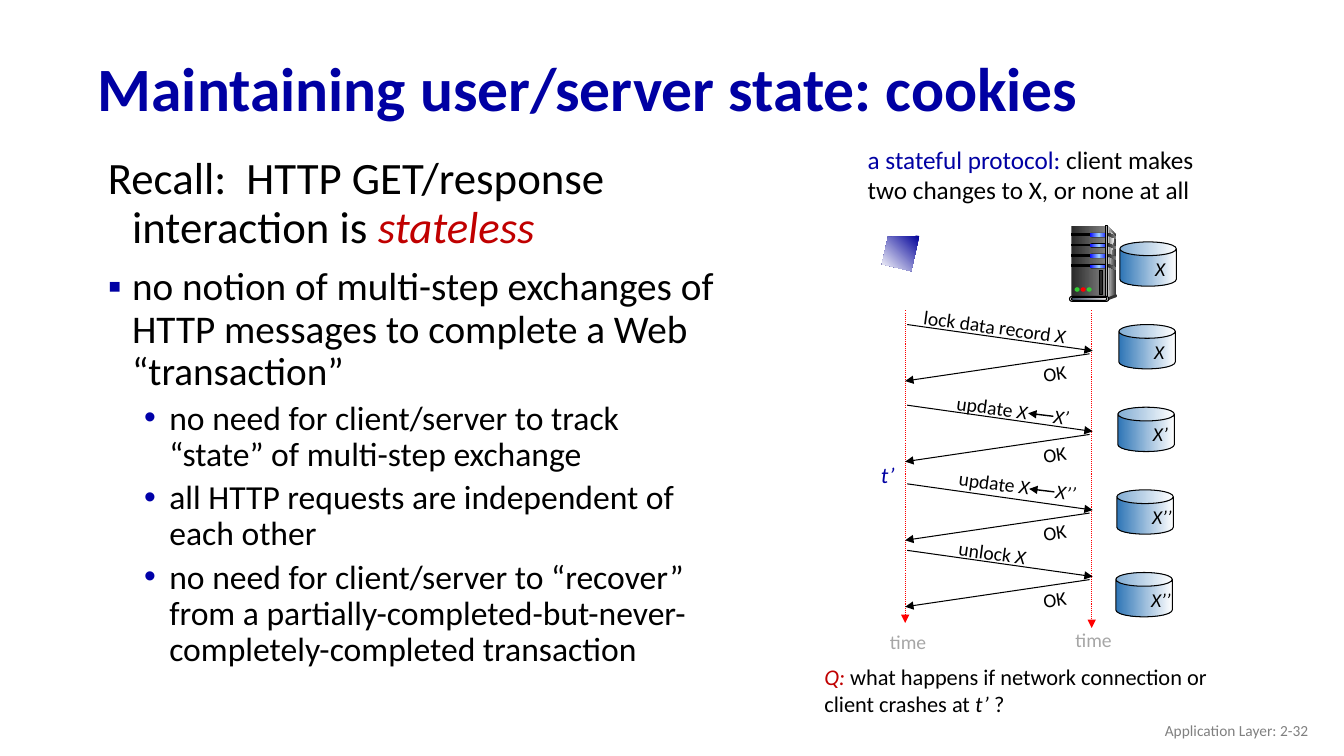
"""Slide on cookies and state: notes at left, a locked update over time at right."""
from dataclasses import dataclass
from typing import NamedTuple

from lxml.etree import SubElement
from pptx import Presentation
from pptx.dml.color import RGBColor
from pptx.enum.dml import MSO_LINE
from pptx.enum.shapes import MSO_CONNECTOR, MSO_SHAPE
from pptx.enum.text import MSO_ANCHOR, MSO_AUTO_SIZE, PP_ALIGN
from pptx.oxml.ns import qn
from pptx.util import Emu, Inches, Pt

CELL = Inches(0.1)
COLS, ROWS = 133.33, 75
FONT = "Calibri"
HUES = {
    "ink": "000000", "navy": "0000A3", "dot": "0000A8", "wine": "C00000",
    "gray": "808080", "time": "A6A6A6", "red": "FF0000", "green": "33CC33",
    "coal": "292929", "slate": "333333", "ash": "DDDDDD", "pale": "F8F8F8",
    "blue": "0000FF", "sky": "99CCFF", "deep": "000099", "white": "FFFFFF",
    "steel": "2E75B6", "dusk": "44546A", "fog": "E7E6E6",
}


class Bit(NamedTuple):
    text: str
    hue: str = "ink"
    slant: bool = False


class Box(NamedTuple):
    x: float
    y: float
    w: float
    h: float


@dataclass
class Point:
    bits: list
    size: int
    left: float = 3.9
    hang: float = -2.4
    before: int = 10
    mark: str = ""
    tint: str = "navy"
    level: int = 0


@dataclass
class Round:
    top: float
    lift: float
    left: float
    wide: float
    bits: list
    swap: float = 0


POINTS = [
    Point([Bit("Recall:  HTTP GET/response interaction is "),
           Bit("stateless", "wine", True)], 32, before=0),
    Point([Bit("no notion of multi-step exchanges of HTTP messages "
               "to complete a Web “transaction”")], 28, mark="▪"),
] + [
    Point([Bit(text)], 24, 7.6, -2.5, 5, "•", "dot", 1) for text in (
        "no need for client/server to track “state” of multi-step exchange",
        "all HTTP requests are independent of each other",
        "no need for client/server to “recover” from a "
        "partially-completed-but-never-completely-completed transaction")
]
ROUNDS = [
    Round(32.2, 1.4, 90.6, 17.1, [Bit("lock data record "), Bit("X", slant=True)]),
    Round(40.2, 1.1, 93.9, 14.6, [Bit("update "), Bit("X\tX’", slant=True)], 104.5),
    Round(48, 1.4, 94.1, 14.6, [Bit("update "), Bit("X\tX’’", slant=True)], 104.6),
    Round(54.6, 1.2, 94.1, 12.3, [Bit("unlock "), Bit("X", slant=True)]),
]
STORES = [("X", 3.2), ("X", 3.2), ("X’", 4), ("X’’", 5.5), ("X’’", 5.5)]


def grid(*nums: float) -> list:
    return [Emu(round(num * CELL)) for num in nums]


def tone(name: str) -> RGBColor:
    return RGBColor.from_string(HUES[name])


def say(par, text: str, *, size: float, hue: str = "ink",
        bold: bool = False, slant: bool = False) -> None:
    run = par.add_run()
    run.text = text
    font = run.font
    font.name, font.size, font.bold, font.italic = FONT, Pt(size), bold, slant
    font.color.rgb = tone(hue)


def note(slide, box: Box, *bits: Bit, size: float = 14, turn: float = 0,
         wrap: bool = True, tab: float = 0):
    shape = slide.shapes.add_textbox(*grid(*box))
    shape.rotation = turn
    frame = shape.text_frame
    frame.word_wrap = wrap
    frame.auto_size = MSO_AUTO_SIZE.SHAPE_TO_FIT_TEXT
    par = frame.paragraphs[0]
    if tab:
        tabs = SubElement(par._p.get_or_add_pPr(), qn("a:tabLst"))
        SubElement(tabs, qn("a:tab"), pos=str(grid(tab)[0]), algn="l")
    for bit in bits:
        say(par, bit.text, size=size, hue=bit.hue, slant=bit.slant)
    return shape


def paint(shape, *names: str, edge: bool = False, angle: float = 0):
    shape.shadow.inherit = False
    if len(names) == 1:
        shape.fill.solid()
        shape.fill.fore_color.rgb = tone(names[0])
    else:
        shape.fill.gradient()
        shape.fill.gradient_angle = angle
        stops = shape._element.spPr.find(qn("a:gradFill")).find(qn("a:gsLst"))
        stops.clear()
        for i, name in enumerate(names):
            spot = round(100000 * i / (len(names) - 1))
            stop = SubElement(stops, qn("a:gs"), pos=str(spot))
            SubElement(stop, qn("a:srgbClr"), val=HUES[name])
    if edge:
        shape.line.color.rgb = tone("ink")
        shape.line.width = Pt(0.75)
    else:
        shape.line.fill.background()
    return shape


def block(slide, kind, box: Box, *names: str, edge: bool = False,
          bend: float | None = None) -> None:
    shape = slide.shapes.add_shape(kind, *grid(*box))
    if bend is not None:
        shape.adjustments[0] = bend
    paint(shape, *names, edge=edge)


def shard(slide, spots: list, *names: str, angle: float = 0) -> None:
    pen = slide.shapes.build_freeform(*grid(*spots[0]))
    pen.add_line_segments([grid(*spot) for spot in spots[1:]], close=True)
    paint(pen.convert_to_shape(), *names, angle=angle)


def arrow(slide, start: tuple, end: tuple, *, hue: str = "ink",
          width: float = 0.75, dots: bool = False) -> None:
    link = slide.shapes.add_connector(MSO_CONNECTOR.STRAIGHT, *grid(*start, *end))
    link.line.color.rgb = tone(hue)
    link.line.width = Pt(width)
    if dots:
        link.line.dash_style = MSO_LINE.ROUND_DOT
    SubElement(link.line._ln, qn("a:tailEnd"), type="triangle")
    SubElement(link._element.spPr, qn("a:effectLst"))


def fill_points(body) -> None:
    body.left, body.top, body.width, body.height = grid(8.2, 15, 64.3, 29.9)
    frame = body.text_frame
    frame.auto_size = MSO_AUTO_SIZE.NONE
    for i, point in enumerate(POINTS):
        par = frame.add_paragraph() if i else frame.paragraphs[0]
        par.level = point.level
        props = par._p.get_or_add_pPr()
        left, hang = grid(point.left, point.hang)
        props.set("marL", str(left))
        props.set("indent", str(hang))
        if point.mark:
            tint = SubElement(props, qn("a:buClr"))
            SubElement(tint, qn("a:srgbClr"), val=HUES[point.tint])
            SubElement(props, qn("a:buChar"), char=point.mark)
        else:
            SubElement(props, qn("a:buNone"))
        par.line_spacing, par.space_before = 0.9, Pt(point.before)
        for bit in point.bits:
            say(par, bit.text, size=point.size, hue=bit.hue, slant=bit.slant)


def draw_server(slide) -> None:
    rect, pill, oval = MSO_SHAPE.RECTANGLE, MSO_SHAPE.ROUNDED_RECTANGLE, MSO_SHAPE.OVAL
    shard(slide, [(109.9, 22.4), (110.7, 23.3), (110.7, 29.2), (109.8, 29.5)],
          "ash", "slate")
    block(slide, rect, Box(106.3, 22.4, 3.4, 7.1), "coal", "gray")
    shard(slide, [(110, 22.8), (110.5, 23.4), (110.1, 26.4), (110, 29.3)],
          "gray", "pale")
    for i in range(4):
        y = 23.1 + 1.03 * i
        block(slide, rect, Box(106.3, y + 0.1, 1.9, 0.15), "ink", edge=True)
        block(slide, pill, Box(108.1, y, 1.9, 0.45), "ink", bend=0.5)
        block(slide, pill, Box(108.1, y + 0.05, 1.8, 0.35), "blue", "sky", "blue", bend=0.5)
        shard(slide, [(109.9, y), (110.7, y + 0.35), (110.7, y + 0.6), (109.9, y + 0.25)],
              "coal", "gray")
    block(slide, rect, Box(109.7, 22.4, 0.2, 7.2), "slate", "ash", "slate", edge=True)
    block(slide, oval, Box(110.6, 29.2, 0.2, 0.3), "slate")
    shard(slide, [(109.9, 29.5), (109.9, 29.8), (110.7, 29.5), (110.7, 29.2)], "slate")
    block(slide, pill, Box(106.1, 29.4, 3.9, 0.5), "ash", edge=True, bend=0.5)
    block(slide, pill, Box(106.3, 29.5, 3.5, 0.3), "dusk", "fog", edge=True, bend=0.5)
    for i, name in enumerate(("green", "red", "green")):
        block(slide, oval, Box(106.6 + 0.6 * i, 28.5, 0.5, 0.45), name)
    block(slide, rect, Box(109.1, 26.8, 0.3, 2.4), "coal", edge=True)


def draw_rounds(slide) -> None:
    for turn in ROUNDS:
        y, top = turn.top, turn.top - turn.lift
        arrow(slide, (90, y), (108.4, y + 2.6))
        note(slide, Box(turn.left, top, turn.wide, 3.4), *turn.bits,
             turn=7.7, tab=9.7 if turn.swap else 0)
        if turn.swap:
            arrow(slide, (turn.swap, top + 2.2), (turn.swap - 2.5, top + 1.9), width=1)
        arrow(slide, (108.1, y + 2.9), (89.8, y + 5.6))
        note(slide, Box(102.5, y + 3.1, 5.1, 3.4), Bit("OK"), turn=351.8)


def draw_stores(slide) -> None:
    for i, (name, wide) in enumerate(STORES):
        x, y = 111.1 - 0.1 * i, 24 + 8.2 * i
        block(slide, MSO_SHAPE.CAN, Box(x, y, 5.6, 4.4), "steel", "white",
              edge=True, bend=0.31)
        note(slide, Box(x + 2.5, y + 1, wide, 3.4), Bit(name, slant=True))


def main() -> None:
    deck = Presentation()
    deck.slide_width, deck.slide_height = grid(COLS, ROWS)
    slide = deck.slides.add_slide(deck.slide_layouts[1])
    title, body = slide.placeholders
    title.left, title.top, title.width, title.height = grid(8.7, 4.2, 115, 9.8)
    title.text_frame.auto_size = MSO_AUTO_SIZE.NONE
    title.text_frame.vertical_anchor = MSO_ANCHOR.MIDDLE
    head = title.text_frame.paragraphs[0]
    head.alignment, head.line_spacing = PP_ALIGN.LEFT, 0.9
    say(head, "Maintaining user/server state: cookies", size=44, hue="navy", bold=True)
    fill_points(body)
    foot = note(slide, Box(100.8, 70.5, 30, 4), Bit("Application Layer: 2-32", "gray"), size=11)
    foot.text_frame.auto_size = MSO_AUTO_SIZE.NONE
    foot.text_frame.vertical_anchor = MSO_ANCHOR.MIDDLE
    foot.text_frame.paragraphs[0].alignment = PP_ALIGN.RIGHT
    note(slide, Box(85.1, 13.8, 36.6, 7.1), Bit("a stateful protocol: ", "navy"),
         Bit("client makes two changes to X, or none at all"), size=18)
    for x, end, left, top in ((89.8, 61.8, 87.3, 62), (108.3, 62.3, 105.7, 61.8)):
        arrow(slide, (x, 30.8), (x, end), hue="red", dots=True)
        note(slide, Box(left, top, 5.7, 3.2), Bit("time", "time"), wrap=False)
    draw_server(slide)
    shard(slide, [(91.2, 23.4), (88.1, 23.5), (87.5, 26.2), (90.4, 26.9)],
          "deep", "white", angle=225)
    draw_rounds(slide)
    draw_stores(slide)
    note(slide, Box(86.4, 45.3, 4.5, 3.7), Bit("t’", "navy", True), size=16)
    note(slide, Box(80.8, 65.3, 45, 6.4), Bit("Q: ", "wine", True),
         Bit("what happens if network connection or client crashes at "),
         Bit("t’ ", slant=True), Bit("?"), size=16)
    deck.save("out.pptx")


if __name__ == "__main__":
    main()
